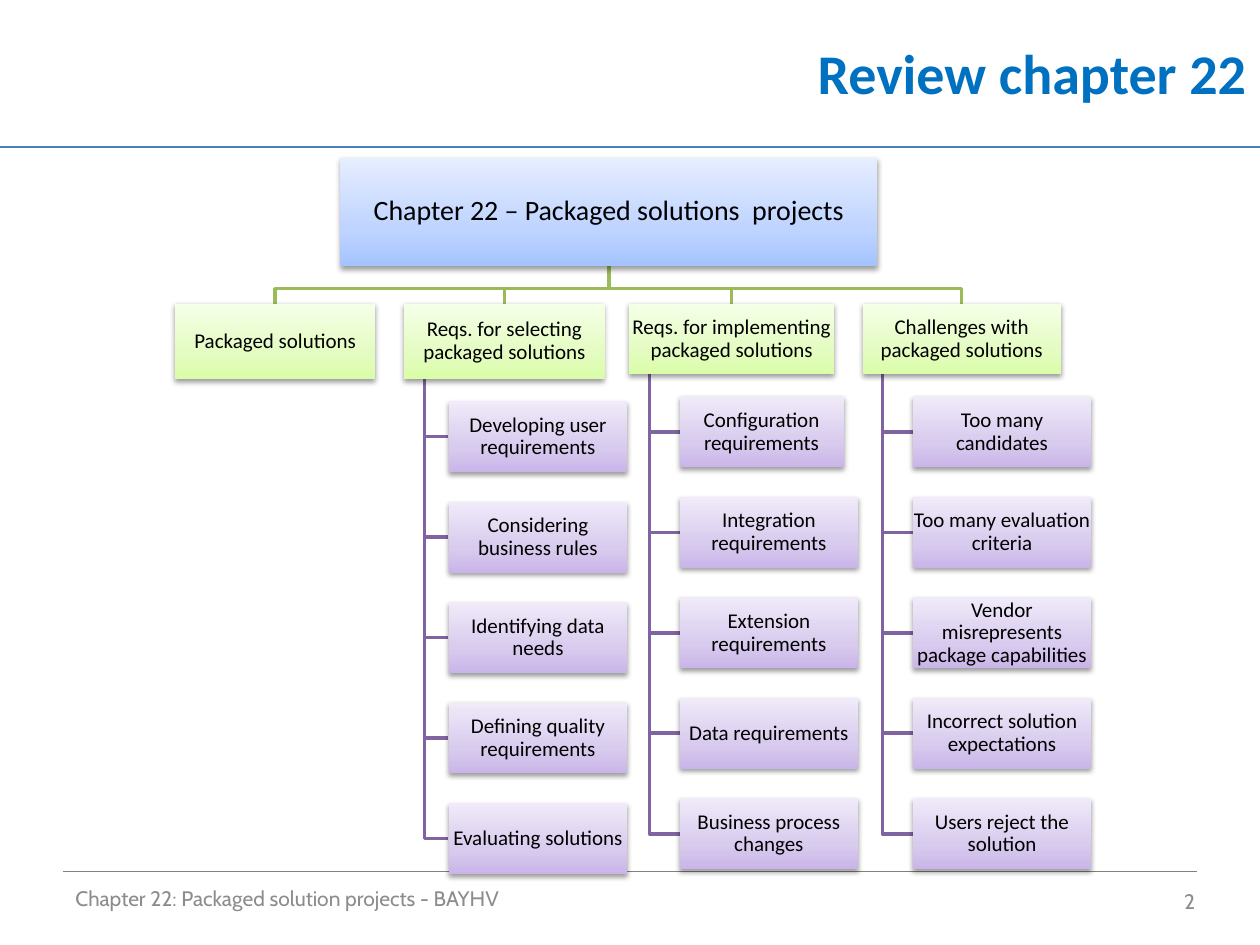
from dataclasses import dataclass

from lxml.etree import SubElement
from pptx import Presentation
from pptx.dml.color import RGBColor
from pptx.enum.shapes import MSO_CONNECTOR, MSO_SHAPE
from pptx.enum.text import MSO_ANCHOR, PP_ALIGN
from pptx.oxml.ns import qn
from pptx.util import Pt


@dataclass(frozen=True)
class Theme:
    """Colours, fonts and type sizes of the slide."""
    title: str = "0070C0"
    text: str = "000000"
    footer: str = "8C8C8C"
    header_rule: str = "4B7EBC"
    footer_rule: str = "808080"
    branch: str = "9BBB59"
    leaf_line: str = "8064A2"
    blue: tuple = ("A4C4FF", "BFD4FF", "E6EEFF")
    green: tuple = ("DAFDA7", "E4FCC2", "F5FFE7")
    purple: tuple = ("C9B5E8", "D8CBEE", "F0EAF9")
    font: str = "Calibri"
    footer_font: str = "Cabin"
    title_size: int = 32
    root_size: int = 16
    small_size: int = 12


@dataclass(frozen=True)
class Branch:
    """A second-level box with its leaves, in points."""
    label: str
    left: float
    width: float
    height: float
    leaf_left: float = 0
    leaves: tuple = ()
    first_width: float = 102.2


THEME = Theme()
ROOT_LEFT, ROOT_TOP, ROOT_WIDTH, ROOT_HEIGHT = 194.5, 90, 306.8, 62
BAR_Y, BRANCH_TOP = 165, 173.5
LEAF_WIDTH, LEAF_HEIGHT, LEAF_GAP, LEAF_PITCH = 102.2, 40.5, 12.6, 57.4

BRANCHES = (
    Branch("Packaged solutions", 100, 114.5, 43.2),
    Branch("Reqs. for selecting packaged solutions", 231, 114.5, 43.2, 256.3, (
        "Developing user requirements", "Considering business rules",
        "Identifying data needs", "Defining quality requirements",
        "Evaluating solutions")),
    Branch("Reqs. for implementing packaged solutions", 359.5, 117.2, 40.5, 388.3, (
        "Configuration requirements", "Integration requirements",
        "Extension requirements", "Data requirements",
        "Business process changes"), 93.8),
    Branch("Challenges with packaged solutions", 493, 113.2, 40.5, 521.5, (
        "Too many candidates", "Too many evaluation criteria",
        "Vendor misrepresents package capabilities",
        "Incorrect solution expectations", "Users reject the solution")),
)


def write_text(shape, text, size, color, alignment, font=THEME.font, bold=False):
    """Put one formatted paragraph in the middle of a shape."""
    frame = shape.text_frame
    frame.text = text
    frame.word_wrap = True
    frame.vertical_anchor = MSO_ANCHOR.MIDDLE
    paragraph = frame.paragraphs[0]
    paragraph.alignment = alignment
    run_font = paragraph.runs[0].font
    run_font.name, run_font.size, run_font.bold = font, Pt(size), bold
    run_font.color.rgb = RGBColor.from_string(color)


def add_title(slide, text):
    """Move and format the title placeholder."""
    title = slide.shapes.title
    title.left, title.top, title.width, title.height = Pt(209), Pt(0), Pt(510.5), Pt(83)
    write_text(title, text, THEME.title_size, THEME.title, PP_ALIGN.RIGHT, bold=True)


def add_footer_text(slide, text, left, top, width, alignment):
    """Add a grey text box at the foot of the slide."""
    box = slide.shapes.add_textbox(Pt(left), Pt(top), Pt(width), Pt(28.8))
    write_text(box, text, THEME.small_size, THEME.footer, alignment, THEME.footer_font)


def add_rule(slide, left, right, y, color):
    """Add a thin horizontal line."""
    rule = slide.shapes.add_connector(
        MSO_CONNECTOR.STRAIGHT, Pt(left), Pt(y), Pt(right), Pt(y))
    rule.line.width = Pt(0.75)
    rule.line.color.rgb = RGBColor.from_string(color)
    SubElement(rule._element.spPr, qn("a:effectLst"))


def add_path(slide, points, color):
    """Draw an open angular line through the points."""
    start, *rest = [(Pt(x), Pt(y)) for x, y in points]
    builder = slide.shapes.build_freeform(*start)
    builder.add_line_segments(rest, close=False)
    line = builder.convert_to_shape()
    line.fill.background()
    line.line.width = Pt(2)
    line.line.color.rgb = RGBColor.from_string(color)
    line.shadow.inherit = False


def add_color(parent, value):
    """Append an RGB colour element and return it."""
    return SubElement(parent, qn("a:srgbClr"), val=value)


def apply_gradient(shape, colors):
    """Fill a shape with three stops running upwards."""
    shape.fill.gradient()
    shape.fill.gradient_angle = 90
    stops = shape._element.spPr.find(f"{qn('a:gradFill')}/{qn('a:gsLst')}")
    for stop in list(stops):
        stops.remove(stop)
    for position, color in zip((0, 35000, 100000), colors):
        add_color(SubElement(stops, qn("a:gs"), pos=str(position)), color)


def apply_shadow(shape):
    """Give a shape a soft shadow below."""
    shape.shadow.inherit = False
    effects = shape._element.spPr.find(qn("a:effectLst"))
    shadow = SubElement(effects, qn("a:outerShdw"), blurRad=str(Pt(3.1)),
                        dist=str(Pt(1.6)), dir="5400000", rotWithShape="0")
    SubElement(add_color(shadow, "000000"), qn("a:alpha"), val="38000")


def add_box(slide, text, left, top, width, height, colors, size=THEME.small_size):
    """Add a shaded chart box with centred text."""
    box = slide.shapes.add_shape(
        MSO_SHAPE.RECTANGLE, Pt(left), Pt(top), Pt(width), Pt(height))
    apply_gradient(box, colors)
    box.line.fill.background()
    apply_shadow(box)
    write_text(box, text, size, THEME.text, PP_ALIGN.CENTER)
    frame = box.text_frame
    frame.margin_left = frame.margin_right = Pt(0.7)
    frame.margin_top = frame.margin_bottom = Pt(0.7)
    frame.paragraphs[0].line_spacing = 0.9


def leaf_tops(branch):
    """Return the top of each leaf box under a branch."""
    first = BRANCH_TOP + branch.height + LEAF_GAP
    return [first + index * LEAF_PITCH for index in range(len(branch.leaves))]


def add_branch_lines(slide, branch):
    """Join a branch to the root and to its leaves."""
    root_x = ROOT_LEFT + ROOT_WIDTH / 2
    center_x = branch.left + branch.width / 2
    add_path(slide, [(root_x, ROOT_TOP + ROOT_HEIGHT), (root_x, BAR_Y),
                     (center_x, BAR_Y), (center_x, BRANCH_TOP)], THEME.branch)
    stem_x = branch.left + branch.width / 10
    for top in leaf_tops(branch):
        middle = top + LEAF_HEIGHT / 2
        add_path(slide, [(stem_x, BRANCH_TOP + branch.height), (stem_x, middle),
                         (branch.leaf_left, middle)], THEME.leaf_line)


def add_branch_boxes(slide, branch):
    """Add a branch box and its leaf boxes."""
    add_box(slide, branch.label, branch.left, BRANCH_TOP,
            branch.width, branch.height, THEME.green)
    for index, (leaf, top) in enumerate(zip(branch.leaves, leaf_tops(branch))):
        width = LEAF_WIDTH if index else branch.first_width
        add_box(slide, leaf, branch.leaf_left, top, width, LEAF_HEIGHT, THEME.purple)


def main():
    """Build and save the slide."""
    presentation = Presentation()
    presentation.slide_width, presentation.slide_height = Pt(720), Pt(540)
    slide = presentation.slides.add_slide(presentation.slide_layouts[5])
    add_rule(slide, 0, 720, 84, THEME.header_rule)
    add_rule(slide, 36, 684, 498, THEME.footer_rule)
    add_title(slide, "Review chapter 22")
    add_footer_text(slide, "Chapter 22: Packaged solution projects - BAYHV",
                    36, 499, 480, PP_ALIGN.LEFT)
    add_footer_text(slide, "2", 522, 500.4, 168, PP_ALIGN.RIGHT)
    for branch in reversed(BRANCHES):
        add_branch_lines(slide, branch)
    add_box(slide, "Chapter 22 – Packaged solutions  projects", ROOT_LEFT, ROOT_TOP,
            ROOT_WIDTH, ROOT_HEIGHT, THEME.blue, THEME.root_size)
    for branch in BRANCHES:
        add_branch_boxes(slide, branch)
    presentation.save("out.pptx")


if __name__ == "__main__":
    main()
